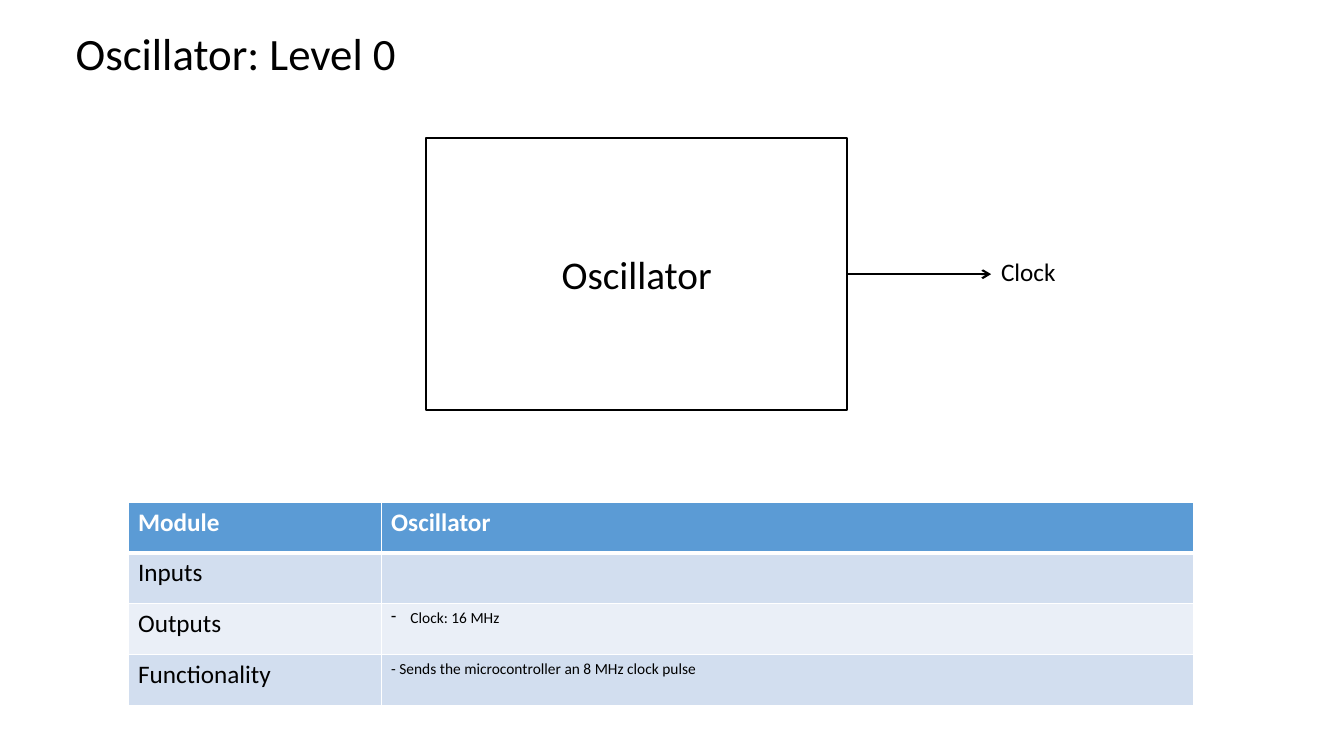
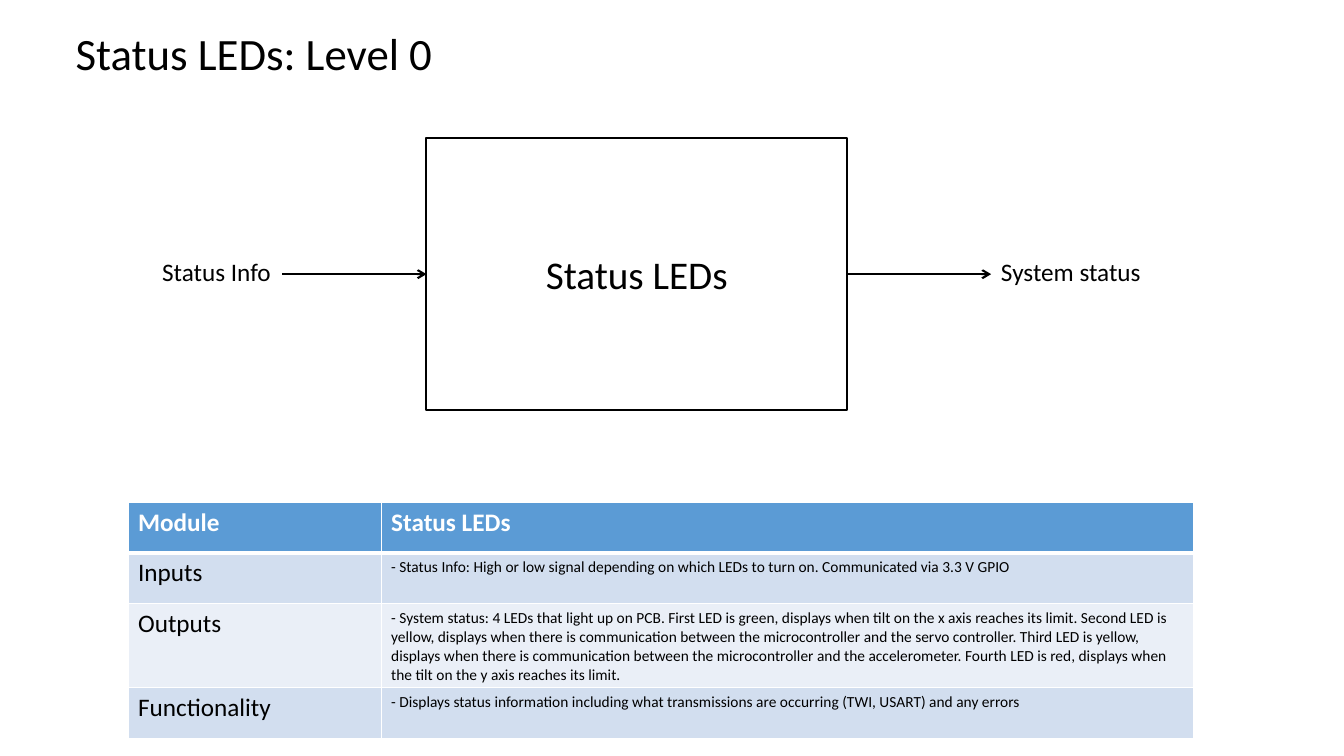
import pptx
import pptx.dml.color
import pptx.enum.shapes
import pptx.enum.text
import pptx.oxml
import pptx.oxml.ns
import pptx.util
from pptx.util import Inches

COLORS = {
    "ink": "000000",
    "paper": "FFFFFF",
    "header": "5B9BD5",
    "band_dark": "D2DEEF",
    "band_light": "EAEFF7",
}
FONT = "Calibri"
NS = pptx.oxml.ns.nsdecls("a")
ALIGN = pptx.enum.text.PP_ALIGN
ANCHOR = pptx.enum.text.MSO_ANCHOR

TITLE_AT = (0.65, 0.21)
TITLE_HEIGHT = 0.64
BLOCK_BOX = (4.23, 1.37, 4.17, 2.7)
TABLE_BOX = (1.27, 4.98, 10.57, 2.02)
LABEL_COLUMN = 2.51
ARROW_LENGTH = 1.43
LABEL_HEIGHT = 0.4
LABEL_RISE = 0.23
LEFT_SITE, RIGHT_SITE = 1, 3


def rgb(name):
    return pptx.dml.color.RGBColor.from_string(COLORS[name])


def write(tf, text, size, color="ink", bold=False, align=ALIGN.LEFT):
    p = tf.paragraphs[0]
    p.text = text
    p.alignment = align
    for r in p.runs:
        r.font.name = FONT
        r.font.size = pptx.util.Pt(size)
        r.font.bold = bold
        r.font.color.rgb = rgb(color)
    return p


def fit_to_text(tf, anchor=ANCHOR.TOP):
    tf.word_wrap = False
    tf.auto_size = pptx.enum.text.MSO_AUTO_SIZE.SHAPE_TO_FIT_TEXT
    tf.vertical_anchor = anchor


def add_title(s, text, width):
    sp = s.shapes.title
    sp.left, sp.top = map(Inches, TITLE_AT)
    sp.width, sp.height = Inches(width), Inches(TITLE_HEIGHT)
    fit_to_text(sp.text_frame)
    write(sp.text_frame, text, 32)


def add_block(s, box, text):
    sp = s.shapes.add_shape(pptx.enum.shapes.MSO_SHAPE.RECTANGLE, *map(Inches, box))
    sp.shadow.inherit = False
    sp.fill.solid()
    sp.fill.fore_color.rgb = rgb("paper")
    sp.line.color.rgb = rgb("ink")
    sp.line.width = pptx.util.Pt(1.5)
    sp.text_frame.vertical_anchor = ANCHOR.MIDDLE
    write(sp.text_frame, text, 28, align=ALIGN.CENTER)
    return sp


def add_arrow(s, x, y):
    line = s.shapes.add_connector(
        pptx.enum.shapes.MSO_CONNECTOR.STRAIGHT,
        Inches(x), Inches(y), Inches(x + ARROW_LENGTH), Inches(y))
    line.line.color.rgb = rgb("ink")
    line.line.width = pptx.util.Pt(1.5)
    line.line._get_or_add_ln().append(
        pptx.oxml.parse_xml(f'<a:tailEnd {NS} type="arrow"/>'))
    line._element.spPr.append(pptx.oxml.parse_xml(f"<a:effectLst {NS}/>"))
    return line


def add_label(s, x, y, width, text):
    sp = s.shapes.add_textbox(
        Inches(x), Inches(y - LABEL_RISE), Inches(width), Inches(LABEL_HEIGHT))
    fit_to_text(sp.text_frame)
    write(sp.text_frame, text, 18)


def add_diagram(s, box, name, source, target):
    left, top, width, height = box
    right, middle = left + width, top + height / 2
    block = add_block(s, box, name)
    if target:
        text, label_width = target
        add_arrow(s, right, middle).begin_connect(block, RIGHT_SITE)
        add_label(s, right + ARROW_LENGTH, middle, label_width, text)
    if source:
        text, label_width = source
        start = left - ARROW_LENGTH
        add_arrow(s, start, middle).end_connect(block, LEFT_SITE)
        add_label(s, start - label_width, middle, label_width, text)


def set_borders(cell, top, bottom):
    tcPr = cell._tc.get_or_add_tcPr()
    for side, points in (("L", 1), ("R", 1), ("T", top), ("B", bottom)):
        tcPr.append(pptx.oxml.parse_xml(
            f'<a:ln{side} {NS} w="{pptx.util.Pt(points)}"><a:solidFill>'
            f'<a:srgbClr val="{COLORS["paper"]}"/></a:solidFill></a:ln{side}>'))


def add_dash_bullet(p):
    pPr = p._p.get_or_add_pPr()
    indent = Inches(0.19)
    pPr.set("marL", str(indent))
    pPr.set("indent", str(-indent))
    pPr.append(pptx.oxml.parse_xml(f'<a:buChar {NS} char="-"/>'))


def add_module_table(s, box, name, details, bulleted):
    rows = [("Module", name)] + list(zip(("Inputs", "Outputs", "Functionality"), details))
    fills = ("header", "band_dark", "band_light", "band_dark")
    table = s.shapes.add_table(len(rows), 2, *map(Inches, box)).table
    table.columns[0].width = Inches(LABEL_COLUMN)
    table.columns[1].width = Inches(box[2] - LABEL_COLUMN)
    for i, (row, fill) in enumerate(zip(rows, fills)):
        is_header = i == 0
        for j, text in enumerate(row):
            cell = table.cell(i, j)
            set_borders(cell, 3 if i == 1 else 1, 3 if is_header else 1)
            cell.fill.solid()
            cell.fill.fore_color.rgb = rgb(fill)
            if not text:
                continue
            p = write(cell.text_frame, text, 18 if is_header or j == 0 else 11,
                      "paper" if is_header else "ink", is_header)
            if j == 1 and row[0] in bulleted:
                add_dash_bullet(p)


def add_module_slide(prs, name, title_width, details, source=None, target=None, bulleted=()):
    s = prs.slides.add_slide(prs.slide_layouts.get_by_name("Title Only"))
    add_title(s, f"{name}: Level 0", title_width)
    add_diagram(s, BLOCK_BOX, name, source, target)
    add_module_table(s, TABLE_BOX, name, details, bulleted)


prs = pptx.Presentation()
prs.slide_width, prs.slide_height = Inches(13.33), Inches(7.5)

add_module_slide(
    prs, "Oscillator", 3.41,
    ("", "Clock: 16 MHz", "- Sends the microcontroller an 8 MHz clock pulse"),
    target=("Clock", 0.75), bulleted=("Outputs",))

add_module_slide(
    prs, "Status LEDs", 3.78,
    ("- Status Info: High or low signal depending on which LEDs to turn on. "
     "Communicated via 3.3 V GPIO",
     "- System status: 4 LEDs that light up on PCB. First LED is green, displays when "
     "tilt on the x axis reaches its limit. Second LED is yellow, displays when there is "
     "communication between the microcontroller and the servo controller. Third LED is "
     "yellow, displays when there is communication between the microcontroller and the "
     "accelerometer. Fourth LED is red, displays when the tilt on the y axis reaches its limit.",
     "- Displays status information including what transmissions are occurring "
     "(TWI, USART) and any errors"),
    source=("Status Info", 1.29), target=("System status", 1.6))

prs.save("out.pptx")
